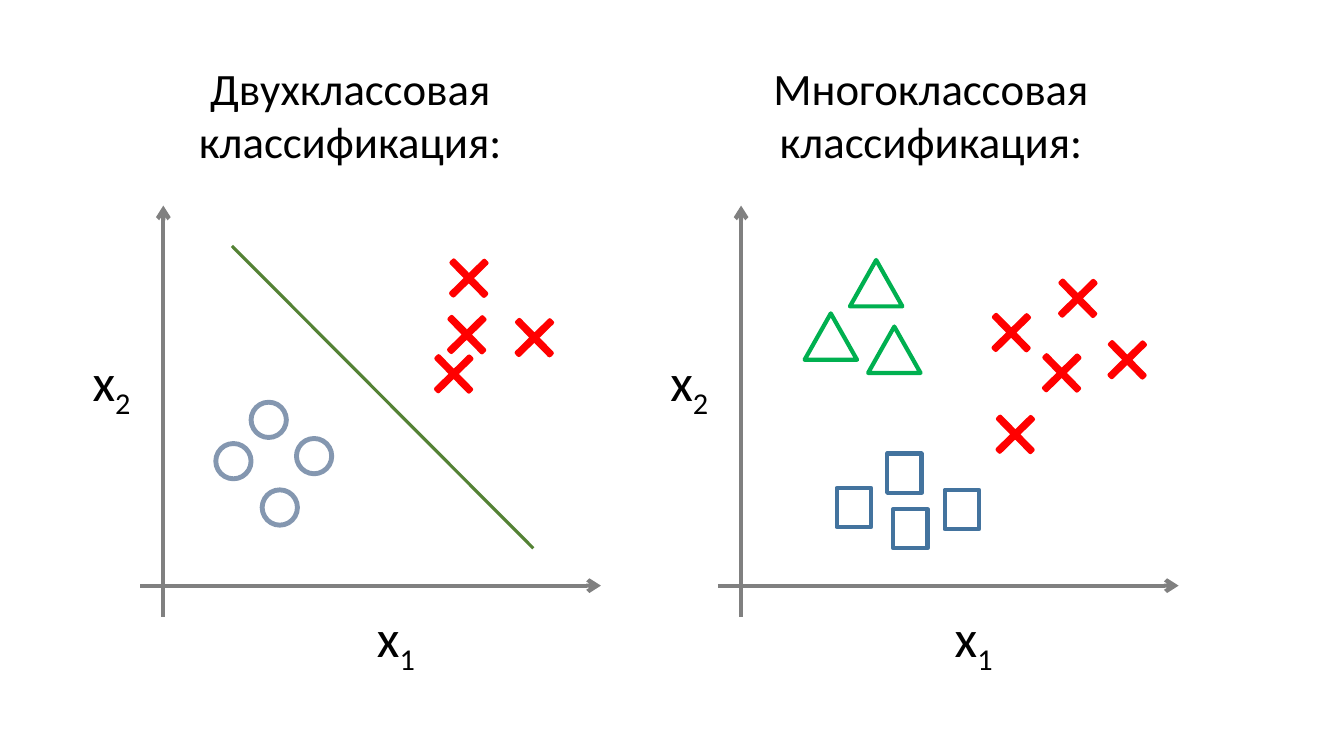
from lxml import etree
from pptx import Presentation
from pptx.dml.color import RGBColor
from pptx.enum.shapes import MSO_CONNECTOR, MSO_SHAPE
from pptx.enum.text import MSO_AUTO_SIZE, PP_ALIGN
from pptx.oxml.ns import qn
from pptx.util import Inches, Pt

STRAIGHT = MSO_CONNECTOR.STRAIGHT
CIRCLE, CROSS = MSO_SHAPE.OVAL, MSO_SHAPE.CROSS
SQUARE, TRIANGLE = MSO_SHAPE.RECTANGLE, MSO_SHAPE.ISOSCELES_TRIANGLE
GROW = MSO_AUTO_SIZE.SHAPE_TO_FIT_TEXT
LEFT, CENTER = PP_ALIGN.LEFT, PP_ALIGN.CENTER

COLORS = {
    "text": "000000",
    "axis": "808080",
    "boundary": "548235",
    "circle": "8497B0",
    "cross": "FF0000",
    "square": "43739E",
    "triangle": "00B050",
}
MARKERS = {
    "circle": (CIRCLE, 0.35, 0.35, 3.5),
    "cross": (CROSS, 0.46, 0.46, 3),
    "square": (SQUARE, 0.34, 0.39, 3),
    "triangle": (TRIANGLE, 0.52, 0.46, 3),
}
PLOT_STEP = 5.73
PLOTS = [
    ("Двухклассовая классификация:", 1.1, {
        "circle": [(2.14, 4.4), (2.94, 4.35), (2.6, 4.86), (2.49, 3.99)],
        "cross": [(4.27, 3.48), (4.42, 2.53), (5.07, 3.12), (4.4, 3.09)],
    }),
    ("Многоклассовая классификация:", 6.86, {
        "cross": [(9.84, 4.08), (9.8, 3.07), (10.3, 3.47), (10.46, 2.73), (10.95, 3.34)],
        "square": [(8.8, 4.5), (8.86, 5.05), (9.37, 4.86), (8.3, 4.84)],
        "triangle": [(8.43, 2.58), (7.98, 3.11), (8.61, 3.24)],
    }),
]


class PlotSlide:
    def __init__(self, slide, font="Calibri"):
        self.slide = slide
        self.font = font

    def color(self, name):
        return RGBColor.from_string(COLORS[name])

    def apply(self, target, values):
        for name, value in values.items():
            setattr(target, name, value)

    def text(self, box, runs, size, alignment=LEFT, wrap=False):
        shape = self.slide.shapes.add_textbox(*map(Inches, box))
        self.apply(shape.text_frame, {"word_wrap": wrap, "auto_size": GROW})
        paragraph = shape.text_frame.paragraphs[0]
        paragraph.alignment = alignment
        for content, baseline in runs:
            run = paragraph.add_run()
            run.text = content
            self.apply(run.font, {"name": self.font, "size": Pt(size)})
            run.font.color.rgb = self.color("text")
            if baseline:
                run._r.get_or_add_rPr().set("baseline", str(baseline))

    def line(self, start, end, color, width, arrow=False):
        connector = self.slide.shapes.add_connector(STRAIGHT, *map(Inches, start + end))
        connector.line.color.rgb = self.color(color)
        connector.line.width = Pt(width)
        if arrow:
            etree.SubElement(connector.line._get_or_add_ln(), qn("a:tailEnd"), type="arrow")
        etree.SubElement(connector._element.spPr, qn("a:effectLst"))

    def marker(self, kind, left, top):
        preset, width, height, weight = MARKERS[kind]
        shape = self.slide.shapes.add_shape(preset, *map(Inches, (left, top, width, height)))
        shape.shadow.inherit = False
        shape.line.color.rgb = self.color(kind)
        shape.line.width = Pt(weight)
        if kind == "cross":
            shape.rotation = 45.6
            shape.adjustments[0] = 0.466
            shape.fill.solid()
            shape.fill.fore_color.rgb = self.color("text")
        else:
            shape.fill.background()

    def axes(self, offset):
        self.line((1.62 + offset, 6.12), (1.62 + offset, 2.04), "axis", 3, arrow=True)
        self.line((1.39 + offset, 5.81), (5.96 + offset, 5.81), "axis", 3, arrow=True)
        for index, left, top in (("1", 3.64, 5.96), ("2", 0.82, 3.42)):
            self.text((left + offset, top, 0.61, 0.73), [("x", 0), (index, -25000)], 37.3)


def main():
    presentation = Presentation()
    presentation.slide_width = Inches(13.33)
    presentation.slide_height = Inches(7.5)
    plot_slide = PlotSlide(presentation.slides.add_slide(presentation.slide_layouts[6]))
    for number, (title, title_left, groups) in enumerate(PLOTS):
        for kind, positions in groups.items():
            for left, top in positions:
                plot_slide.marker(kind, left, top)
        plot_slide.axes(number * PLOT_STEP)
        plot_slide.text((title_left, 0.55, 4.75, 1.18), [(title, 0)], 32, CENTER, True)
    plot_slide.line((2.3, 2.44), (5.29, 5.44), "boundary", 2.25)
    presentation.save("out.pptx")


if __name__ == "__main__":
    main()
